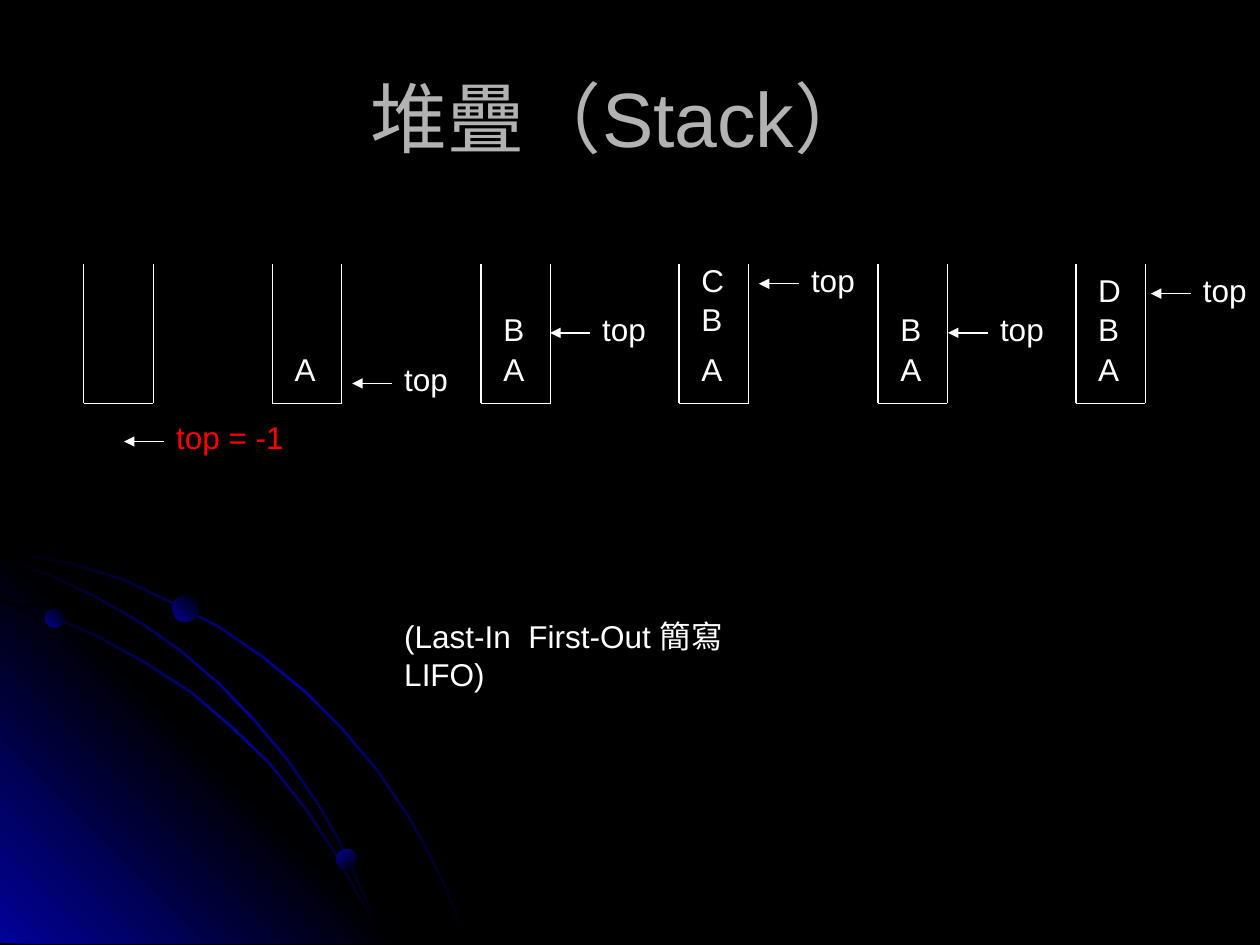
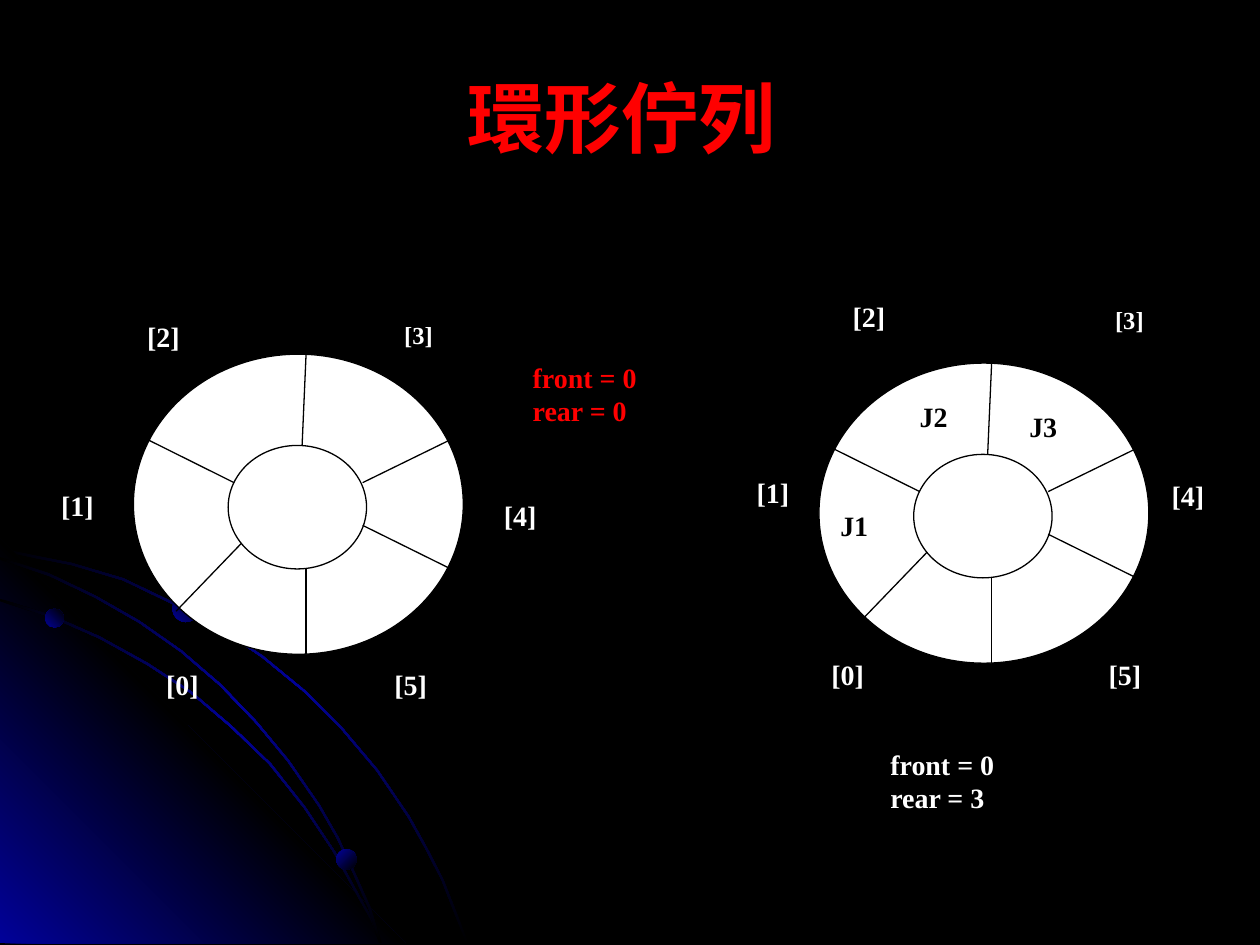
from lxml.etree import SubElement
from pptx import Presentation
from pptx.dml.color import RGBColor
from pptx.enum.shapes import MSO_CONNECTOR, MSO_SHAPE
from pptx.enum.text import MSO_ANCHOR, MSO_AUTO_SIZE, PP_ALIGN
from pptx.oxml.ns import qn
from pptx.util import Cm, Pt

BLACK = RGBColor(0x00, 0x00, 0x00)
WHITE = RGBColor(0xFF, 0xFF, 0xFF)
RED = RGBColor(0xFF, 0x00, 0x00)
SILVER = RGBColor(0xB2, 0xB2, 0xB2)
NAVY = RGBColor(0x01, 0x01, 0x99)
SANS, SERIF = "Arial", "Times New Roman"
LEFT, CENTER, RIGHT = PP_ALIGN.LEFT, PP_ALIGN.CENTER, PP_ALIGN.RIGHT

# Background: points in hundredths of a centimetre, dots in centimetres
OUTER_ARC = [(0, 1105), (71, 1120), (145, 1135), (249, 1166), (345, 1212),
             (442, 1262), (531, 1323), (615, 1392), (691, 1468), (762, 1552),
             (826, 1646), (861, 1709), (894, 1773), (919, 1836), (945, 1902)]
INNER_ARC = [(0, 1207), (104, 1240), (201, 1283), (297, 1336), (386, 1394),
             (467, 1463), (546, 1539), (615, 1626), (676, 1717), (726, 1808),
             (752, 1854), (770, 1902)]
MIDDLE_ARC = [(0, 1123), (99, 1156), (193, 1201), (282, 1252), (366, 1311),
              (445, 1379), (518, 1455), (582, 1532), (645, 1623), (683, 1689),
              (716, 1760), (747, 1829), (770, 1902)]
CORNER = [(818, 1902), (0, 1902), (0, 1085)]
ARC_THICKNESS = 5
DOTS = [(0.91, 12.27, 0.38, 315), (6.78, 17.12, 0.41, 45), (3.48, 12.01, 0.53, 315)]

# Stack slide: left edge, letters with their tops, pointer label with left and top
STACK_TITLE = "堆疊（Stack） "
STACK_TOP, STACK_BOTTOM, STACK_WIDTH = 5.33, 8.13, 1.4
STACKS = [
    (1.69, [], ("top = -1", 3.3, 8.31, 2.69, RED)),
    (5.49, [("A", 6.93)], ("top", 7.9, 7.14, 1.4, WHITE)),
    (9.7, [("A", 6.93), ("B", 6.12)], ("top", 11.89, 6.12, 1.4, WHITE)),
    (13.69, [("A", 6.93), ("B", 5.92), ("C", 5.13)], ("top", 16.1, 5.13, 1.4, WHITE)),
    (17.7, [("A", 6.93), ("B", 6.12)], ("top", 19.91, 6.12, 1.4, WHITE)),
    (21.69, [("A", 6.93), ("B", 6.12), ("D", 5.33)], ("top", 24, 5.33, 1.4, WHITE)),
]
LIFO_NOTE = "(Last-In  First-Out 簡寫LIFO)"

# Queue slide: spokes are relative to the ring's top left corner
QUEUE_TITLE = "環形佇列 "
SPOKES = [(0.3, 1.73, 2.03, 2.59), (3.48, 0, 3.4, 1.84), (6.38, 1.73, 4.62, 2.59),
          (2.18, 3.81, 0.86, 5.18), (3.48, 4.32, 3.48, 6.05), (4.62, 3.45, 6.38, 4.32)]
INDEX_STYLES = [(1.78, 1.52, 16, LEFT), (1.45, 1.3, 16, RIGHT), (2.01, 1.02, 16, CENTER),
                (2.13, 1.04, 14, LEFT), (2.03, 1.3, 16, LEFT), (2.62, 1.3, 16, LEFT)]
RINGS = [
    {"corner": (2.69, 7.14), "jobs": [],
     "indexes": [(3.1, 13.34), (0.69, 9.73), (2.29, 6.32),
                 (7.9, 6.32), (9.91, 9.93), (7.7, 13.34)],
     "state": ("front = 0\nrear = 0", 10.49, 7.14, RED)},
    {"corner": (16.51, 7.32),
     "jobs": [("J2", 18.29, 7.92, 1.17), ("J3", 20.5, 8.13, 1.24),
              ("J1", 16.69, 10.13, 1.45)],
     "indexes": [(16.51, 13.13), (14.71, 9.47), (16.51, 5.92),
                 (22.23, 6.02), (23.37, 9.53), (22.1, 13.13)],
     "state": ("front = 0\nrear = 3", 17.7, 14.94, WHITE)},
]


def write(shape, text, font, size, color, bold=False, align=LEFT, anchor=MSO_ANCHOR.TOP):
    frame = shape.text_frame
    frame.text = text
    frame.word_wrap = True
    frame.vertical_anchor = anchor
    for para in frame.paragraphs:
        para.alignment = align
        for span in para.runs:
            span.font.name = font
            span.font.size = Pt(size)
            span.font.bold = bold
            span.font.color.rgb = color


def add_text(slide, text, left, top, width, height, *style, **options):
    box = slide.shapes.add_textbox(Cm(left), Cm(top), Cm(width), Cm(height))
    write(box, text, *style, **options)
    return box


def add_label(slide, text, left, top, width, color=WHITE):
    """Add a one-line label that never wraps."""
    box = add_text(slide, text, left, top, width, 1.02, SANS, 18, color)
    box.text_frame.word_wrap = False
    box.text_frame.auto_size = MSO_AUTO_SIZE.SHAPE_TO_FIT_TEXT


def add_line(slide, x1, y1, x2, y2, color, arrow=False):
    line = slide.shapes.add_connector(MSO_CONNECTOR.STRAIGHT, Cm(x1), Cm(y1), Cm(x2), Cm(y2))
    line.line.color.rgb = color
    line.line.width = Pt(0.75)
    if arrow:
        SubElement(line.line._get_or_add_ln(), qn("a:tailEnd"), type="triangle")
    SubElement(line._element.spPr, qn("a:effectLst"))


def add_filled(slide, kind, left, top, width, height, outline=None):
    shape = slide.shapes.add_shape(kind, Cm(left), Cm(top), Cm(width), Cm(height))
    shape.shadow.inherit = False
    shape.fill.solid()
    shape.fill.fore_color.rgb = WHITE
    if outline is None:
        shape.line.fill.background()
    else:
        shape.line.color.rgb = outline
        shape.line.width = Pt(0.75)
    return shape


def shade(shape, colors, angle):
    """Fill with evenly spaced gradient stops; the angle runs clockwise."""
    shape.shadow.inherit = False
    shape.line.fill.background()
    shape.fill.gradient()
    gradient = shape._element.spPr.find(qn("a:gradFill"))
    stops = gradient.find(qn("a:gsLst"))
    for stop in list(stops):
        stops.remove(stop)
    for number, color in enumerate(colors):
        position = number * 100000 // (len(colors) - 1)
        stop = SubElement(stops, qn("a:gs"), pos=str(position))
        SubElement(stop, qn("a:srgbClr"), val=str(color))
    gradient.find(qn("a:lin")).set("ang", str(angle * 60000))


def add_outline(slide, points):
    builder = slide.shapes.build_freeform(*points[0], scale=Cm(0.01))
    builder.add_line_segments(points[1:], close=True)
    return builder.convert_to_shape()


def add_arc(slide, curve):
    """Add a thin band whose thickness turns from downward to leftward."""
    last = len(curve) - 1
    lower = [(x - ARC_THICKNESS * n / last, y + ARC_THICKNESS * (1 - n / last))
             for n, (x, y) in enumerate(curve)]
    shade(add_outline(slide, curve + lower[::-1]), (BLACK, NAVY, BLACK), 45)


def add_slide(deck, title, color, bold=False):
    """Add a slide with the shared background and title."""
    slide = deck.slides.add_slide(deck.slide_layouts[6])
    slide.background.fill.solid()
    slide.background.fill.fore_color.rgb = BLACK
    add_arc(slide, OUTER_ARC)
    shade(add_outline(slide, CORNER), (NAVY, BLACK, NAVY), 315)
    add_arc(slide, INNER_ARC)
    add_arc(slide, MIDDLE_ARC)
    for left, top, size, angle in DOTS:
        dot = slide.shapes.add_shape(MSO_SHAPE.OVAL, Cm(left), Cm(top), Cm(size), Cm(size))
        shade(dot, (NAVY, BLACK), angle)
    add_text(slide, title, 1.27, 0.76, 22.86, 3.18, SANS, 44, color, bold,
             align=CENTER, anchor=MSO_ANCHOR.MIDDLE)
    return slide


def add_stack(slide, left, letters, pointer):
    right = left + STACK_WIDTH
    add_line(slide, left, STACK_TOP, left, STACK_BOTTOM, WHITE)
    add_line(slide, left, STACK_BOTTOM, right, STACK_BOTTOM, WHITE)
    add_line(slide, right, STACK_BOTTOM, right, STACK_TOP, WHITE)
    for letter, top in letters:
        add_label(slide, letter, left + 0.2, top, 0.95)
    label, label_left, label_top, width, color = pointer
    add_label(slide, label, label_left, label_top, width, color)
    arrow_y = label_top + 0.59
    add_line(slide, label_left, arrow_y, label_left - 0.8, arrow_y, WHITE, arrow=True)


def add_ring(slide, ring):
    left, top = ring["corner"]
    add_filled(slide, MSO_SHAPE.OVAL, left, top, 6.65, 6.05, BLACK)
    add_filled(slide, MSO_SHAPE.OVAL, left + 1.91, top + 1.84, 2.79, 2.49, BLACK)
    for x1, y1, x2, y2 in SPOKES:
        add_line(slide, left + x1, top + y1, left + x2, top + y2, BLACK)
    for job, job_left, job_top, width in ring["jobs"]:
        box = add_filled(slide, MSO_SHAPE.RECTANGLE, job_left, job_top, width, 0.86)
        write(box, job, SERIF, 16, BLACK, True)
    for number, (place, style) in enumerate(zip(ring["indexes"], INDEX_STYLES)):
        width, height, size, align = style
        add_text(slide, f"[{number}]", *place, width, height, SERIF, size, WHITE, True, align)
    state, state_left, state_top, color = ring["state"]
    add_text(slide, state, state_left, state_top, 4.34, 3.02, SERIF, 16, color, True)


def main():
    deck = Presentation()
    deck.slide_width, deck.slide_height = Cm(25.4), Cm(19.05)

    stack_slide = add_slide(deck, STACK_TITLE, SILVER)
    for stack in STACKS:
        add_stack(stack_slide, *stack)
    add_text(stack_slide, LIFO_NOTE, 7.9, 12.32, 8.2, 1.02, SANS, 18, WHITE)

    queue_slide = add_slide(deck, QUEUE_TITLE, RED, bold=True)
    for ring in RINGS:
        add_ring(queue_slide, ring)

    deck.save("out.pptx")


if __name__ == "__main__":
    main()
